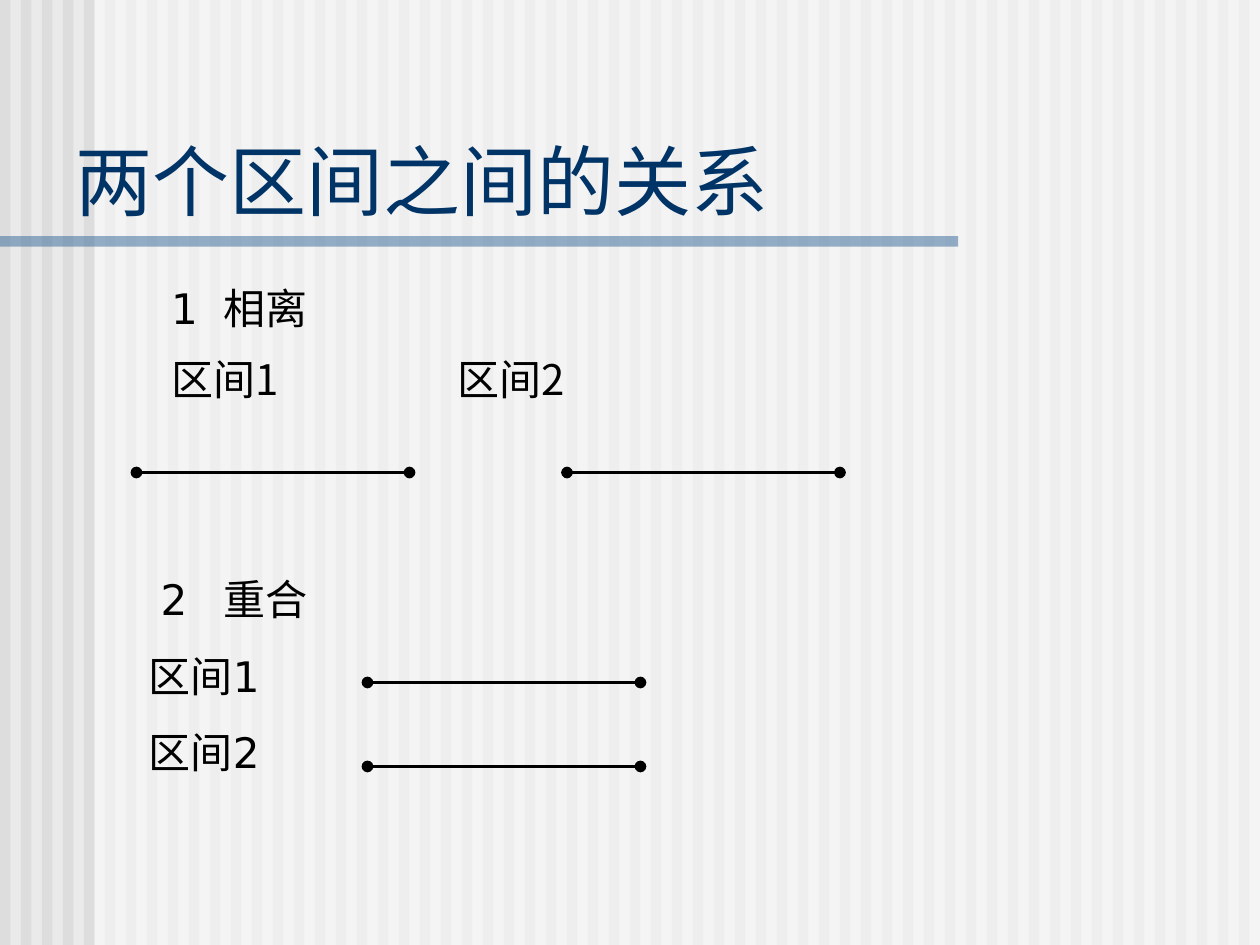
from typing import NamedTuple

from lxml.etree import SubElement
from pptx import Presentation
from pptx.dml.color import RGBColor
from pptx.enum.shapes import MSO_CONNECTOR, MSO_SHAPE
from pptx.enum.text import MSO_ANCHOR
from pptx.oxml.ns import qn
from pptx.util import Emu, Pt

PAGE_WIDTH, PAGE_HEIGHT = 960, 720
STRIPE_PITCH, STRIPE_WIDTH = 16, 8
INTERVAL_LENGTH = 208
INTERVAL_STARTS = [(280, 584), (280, 520), (432, 360), (104, 360)]
BLACK = "000000"


class Line(NamedTuple):
    text: str
    size: int
    font: str
    color: str = BLACK
    space_before: int = 0
    tabs: tuple[int, ...] = ()


class TextBlock(NamedTuple):
    left: int
    top: int
    width: int
    height: int
    lines: list[Line]
    anchor: MSO_ANCHOR = MSO_ANCHOR.TOP
    top_inset: int = 5


TEXT_BLOCKS = [
    TextBlock(48, 96, 740, 81,
              [Line("两个区间之间的关系", 44, "Times New Roman", "003366")],
              anchor=MSO_ANCHOR.BOTTOM),
    TextBlock(96, 200, 648, 200, [
        Line("\t1\t相离", 24, "DejaVu Sans", tabs=(25, 65)),
        Line("\t区间1\t区间2", 24, "Noto Sans CJK SC", space_before=12, tabs=(25, 243)),
    ], top_inset=15),
    TextBlock(104, 432, 496, 224, [
        Line("\t2\t重合", 24, "DejaVu Sans", space_before=15, tabs=(9, 57)),
        Line("区间1", 24, "DejaVu Sans", space_before=15),
        Line("区间2", 24, "DejaVu Sans", space_before=15),
    ]),
]


def px(length: int) -> Emu:
    return Emu(length * 9525)


def rgb(color: str) -> RGBColor:
    return RGBColor.from_string(color)


def add_bar(page, left: int, top: int, width: int, height: int,
            color: str, opacity: int = 100) -> None:
    bar = page.shapes.add_shape(MSO_SHAPE.RECTANGLE, px(left), px(top), px(width), px(height))
    bar.shadow.inherit = False
    bar.line.fill.background()
    bar.fill.solid()
    bar.fill.fore_color.rgb = rgb(color)
    if opacity < 100:
        tint = bar.fill._xPr.find(qn("a:solidFill"))[0]
        SubElement(tint, qn("a:alpha"), val=str(opacity * 1000))


def add_background(page) -> None:
    """Draw the stripes, the pale veil over them and the rule under the title."""
    page.background.fill.solid()
    page.background.fill.fore_color.rgb = rgb("EAEAEA")
    for left in range(0, PAGE_WIDTH, STRIPE_PITCH):
        add_bar(page, left, 0, STRIPE_WIDTH, PAGE_HEIGHT, "DDDDDD")
    add_bar(page, 72, 0, PAGE_WIDTH - 72, PAGE_HEIGHT, "FFFFFF", opacity=50)
    add_bar(page, 0, 180, 730, 8, "336699", opacity=50)


def format_line(para, line: Line) -> None:
    para.text = line.text
    para.space_before = Pt(line.space_before)
    for span in para.runs:
        span.font.size = Pt(line.size)
        span.font.name = line.font
        span.font.color.rgb = rgb(line.color)
    if line.tabs:
        tab_list = SubElement(para._p.get_or_add_pPr(), qn("a:tabLst"))
        for position in line.tabs:
            SubElement(tab_list, qn("a:tab"), pos=str(px(position)), algn="l")


def add_text_block(page, block: TextBlock) -> None:
    box = page.shapes.add_textbox(px(block.left), px(block.top), px(block.width), px(block.height))
    frame = box.text_frame
    frame.word_wrap = True
    frame.vertical_anchor = block.anchor
    frame.margin_top = px(block.top_inset)
    frame.text = "\n".join(line.text for line in block.lines)
    for para, line in zip(frame.paragraphs, block.lines):
        format_line(para, line)


def add_interval(page, left: int, top: int) -> None:
    """Draw a closed interval: a line with a dot at each end."""
    interval = page.shapes.add_connector(
        MSO_CONNECTOR.STRAIGHT, px(left), px(top), px(left + INTERVAL_LENGTH), px(top))
    interval.line.width = Pt(2.25)
    interval.line.color.rgb = rgb(BLACK)
    outline = interval.line._get_or_add_ln()
    for end in ("a:headEnd", "a:tailEnd"):
        SubElement(outline, qn(end), type="oval")
    SubElement(interval._element.spPr, qn("a:effectLst"))


def main() -> None:
    deck = Presentation()
    deck.slide_width, deck.slide_height = px(PAGE_WIDTH), px(PAGE_HEIGHT)
    page = deck.slides.add_slide(deck.slide_layouts[6])
    add_background(page)
    for block in TEXT_BLOCKS:
        add_text_block(page, block)
    for left, top in INTERVAL_STARTS:
        add_interval(page, left, top)
    deck.save("out.pptx")


if __name__ == "__main__":
    main()
